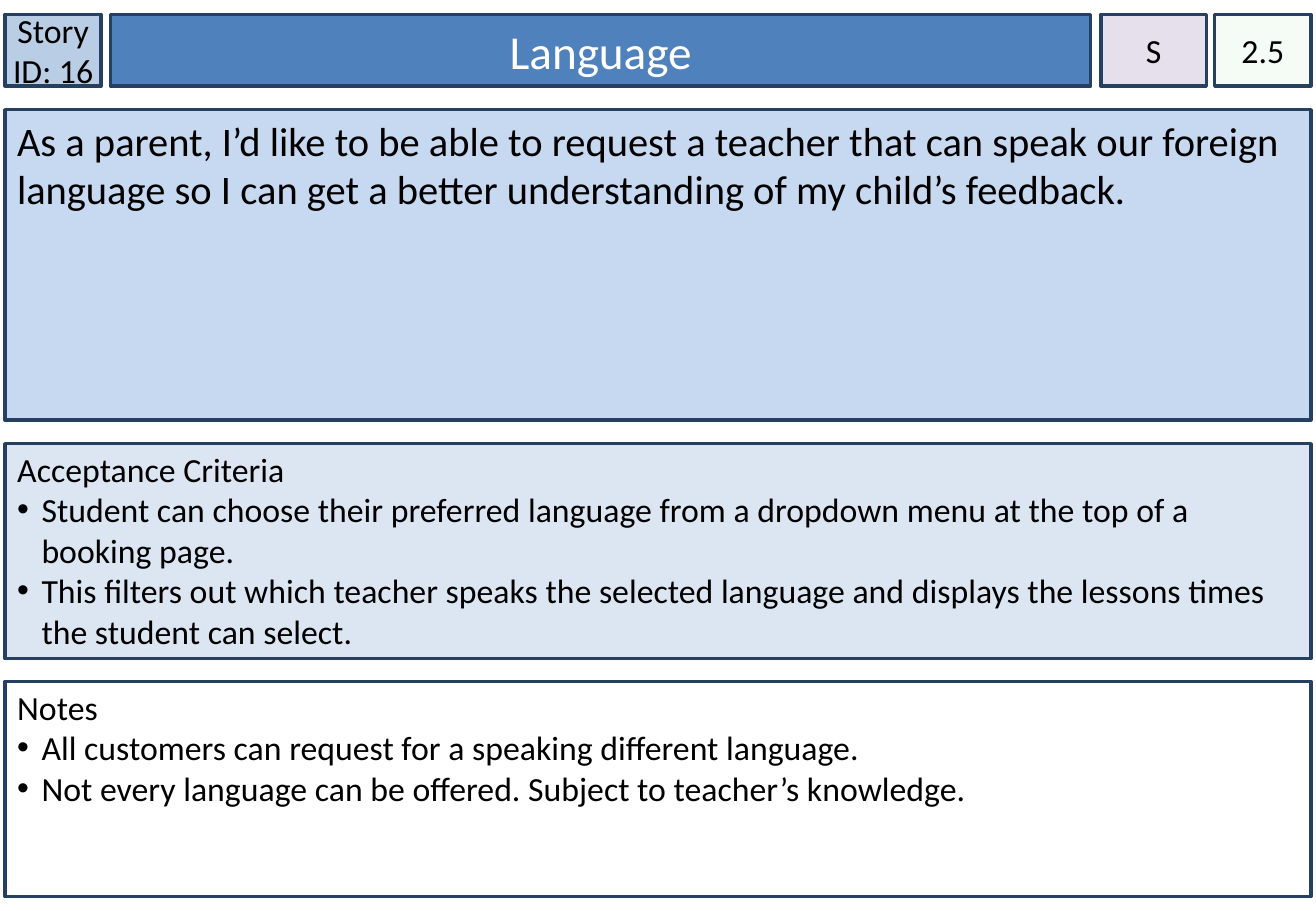
"""Build a user story card with a header row, story, criteria and notes."""
from lxml import etree
from pptx import Presentation
from pptx.dml.color import RGBColor
from pptx.enum.shapes import MSO_SHAPE
from pptx.enum.text import MSO_ANCHOR, MSO_AUTO_SIZE, PP_ALIGN
from pptx.oxml.ns import qn
from pptx.util import Pt

RECT = MSO_SHAPE.RECTANGLE
TOP, MIDDLE = MSO_ANCHOR.TOP, MSO_ANCHOR.MIDDLE
LEFT, CENTER = PP_ALIGN.LEFT, PP_ALIGN.CENTER
NO_FIT = MSO_AUTO_SIZE.NONE
FONT = "Calibri"
EDGE, WIDE = 3, 774
HEAD_Y, HEAD_H = 8.5, 42.5
LIST_H = 127.5
INDENT = 14.4
COLORS = {
    "line": "254061",
    "id": "B9CDE5",
    "title": "4F81BD",
    "size": "E6E0EC",
    "points": "CCF0CD",
    "story": "C6D9F1",
    "tests": "DCE6F2",
    "white": "FFFFFF",
    "black": "000000",
}


def color(name):
    return RGBColor.from_string(COLORS[name])


def style_box(box, place, fill, anchor, inset):
    box.left, box.top, box.width, box.height = map(Pt, place)
    box.shadow.inherit = False
    box.fill.solid()
    box.fill.fore_color.rgb = color(fill)
    box.line.color.rgb = color("line")
    box.line.width = Pt(2)
    frame = box.text_frame
    frame.word_wrap = True
    frame.auto_size = NO_FIT
    frame.vertical_anchor = anchor
    frame.margin_left = frame.margin_right = Pt(inset)
    frame.margin_top = frame.margin_bottom = Pt(3.6)


def style_text(para, size, align=LEFT, ink="black"):
    para.alignment = align
    para.space_before = Pt(0)
    para.font.name = FONT
    para.font.size = Pt(size)
    para.font.color.rgb = color(ink)


def add_box(slide, text, place, fill, size=20, align=CENTER, anchor=MIDDLE, inset=0):
    box = slide.shapes.add_shape(RECT, *map(Pt, place))
    style_box(box, place, fill, anchor, inset)
    box.text_frame.text = text
    style_text(box.text_frame.paragraphs[0], size, align)
    return box


def set_alpha(box, percent):
    tone = box.fill._xPr.find(qn("a:solidFill"))[0]
    etree.SubElement(tone, qn("a:alpha"), val=str(percent * 1000))


def set_bullet(para, shown):
    props = para._p.get_or_add_pPr()
    indent = Pt(INDENT) if shown else 0
    props.set("marL", str(indent))
    props.set("indent", str(-indent))
    if shown:
        etree.SubElement(props, qn("a:buFont"), typeface="Arial")
        etree.SubElement(props, qn("a:buChar"), char="•")
    else:
        etree.SubElement(props, qn("a:buNone"))


def fill_title(box, text):
    style_box(box, (65.5, HEAD_Y, 581, HEAD_H), "title", MIDDLE, 7.2)
    box.text_frame.text = text
    style_text(box.text_frame.paragraphs[0], 28, CENTER, "white")


def fill_list(box, top, fill, lines):
    style_box(box, (EDGE, top, WIDE, LIST_H), fill, TOP, 7.2)
    box.text_frame.margin_top = Pt(2.9)
    box.text_frame.text = "\n".join(lines)
    for rank, para in enumerate(box.text_frame.paragraphs):
        set_bullet(para, rank > 0)
        style_text(para, 20)


def main():
    deck = Presentation()
    deck.slide_width, deck.slide_height = Pt(780), Pt(540)
    slide = deck.slides.add_slide(deck.slide_layouts[3])
    title, tests, notes = slide.placeholders

    fill_title(title, "Language")
    add_box(slide, "Story ID: 16", (EDGE, HEAD_Y, 57, HEAD_H), "id")
    add_box(slide, "S", (652.5, HEAD_Y, 62.5, HEAD_H), "size")
    points = add_box(slide, "2.5", (720, HEAD_Y, 57, HEAD_H), "points")
    set_alpha(points, 20)

    story = (
        "As a parent, I’d like to be able to request a teacher that can speak our "
        "foreign language so I can get a better understanding of my child’s feedback."
    )
    add_box(slide, story, (EDGE, 65, WIDE, 184), "story", 24, LEFT, TOP, 7.2)

    fill_list(tests, 263, "tests", [
        "Acceptance Criteria",
        "Student can choose their preferred language from a dropdown menu at the "
        "top of a booking page.",
        "This filters out which teacher speaks the selected language and displays "
        "the lessons times the student can select.",
    ])
    fill_list(notes, 404, "white", [
        "Notes",
        "All customers can request for a speaking different language.",
        "Not every language can be offered. Subject to teacher’s knowledge.",
    ])
    deck.save("out.pptx")


if __name__ == "__main__":
    main()
